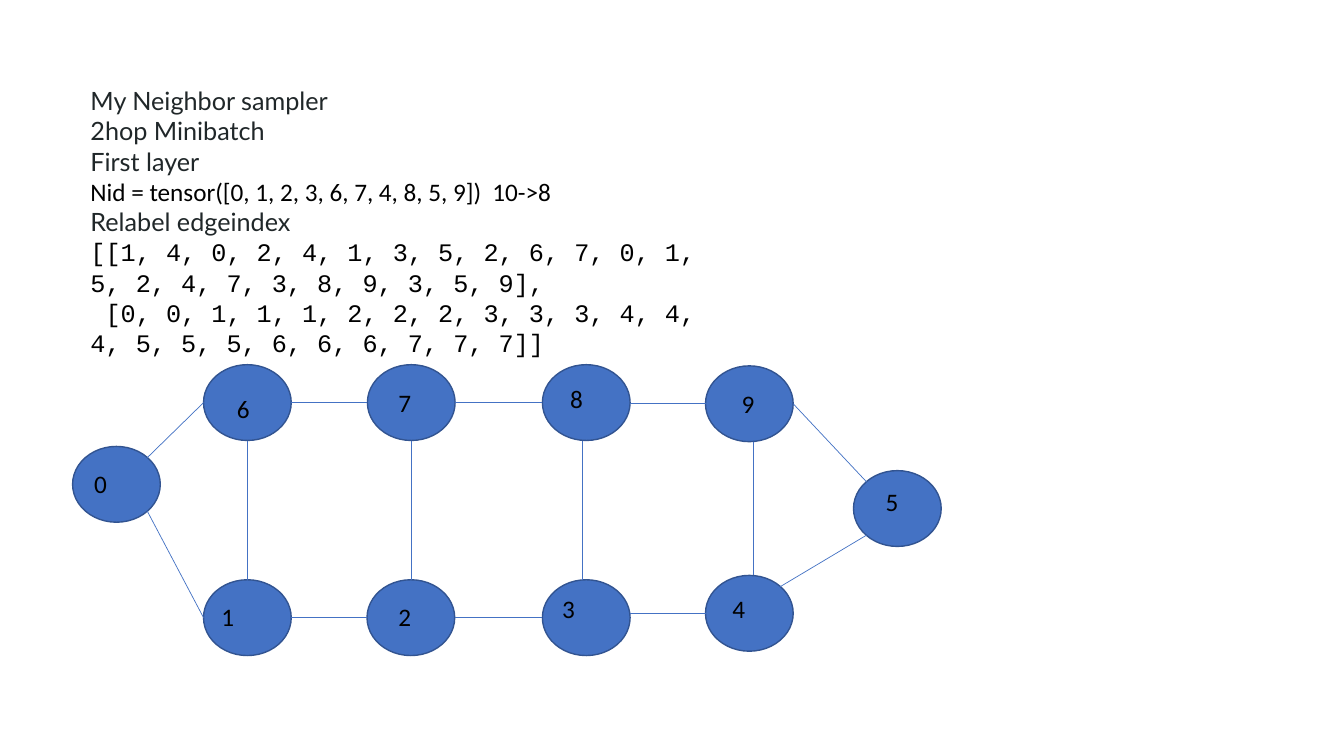
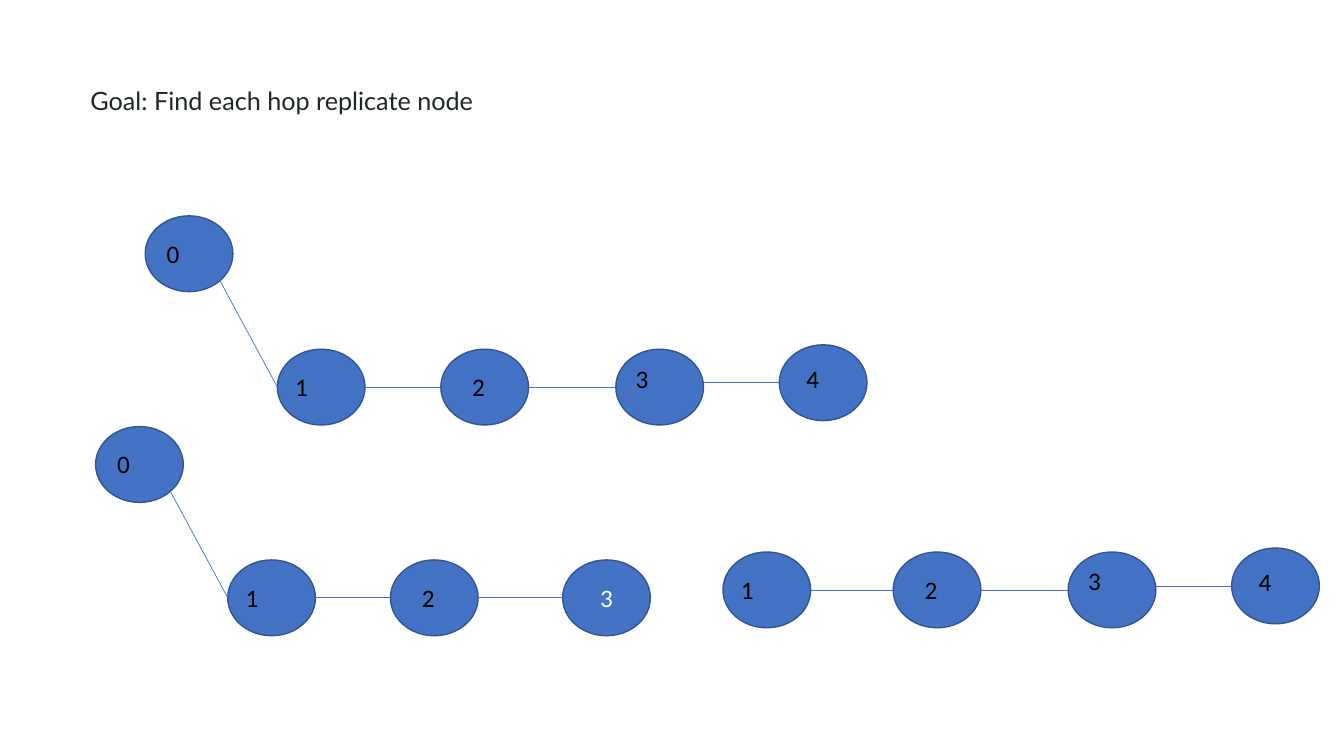
import itertools

import lxml.etree
import pptx
import pptx.dml.color
import pptx.enum.shapes
import pptx.enum.text
import pptx.oxml.ns
import pptx.util

Cm = pptx.util.Cm
Pt = pptx.util.Pt

FILL, OUTLINE, INK, BLACK, WHITE = "4472C4", "325491", "202729", "000000", "FFFFFF"
HEADING, BODY, CODE = ("Lato", INK), ("Calibri", BLACK), ("Courier New", BLACK)
NODE_W, NODE_H = 2.21, 1.91
TEXT_X, TEXT_Y = 2.03, 2.03

LABEL_OFFSETS = {
    "0": (0.29, 0.43), "1": (0.2, 0.43), "2": (0.54, 0.43), "3": (0.25, 0.22),
    "4": (0.43, 0.33), "5": (0.56, 0.26), "6": (0.59, 0.59), "7": (0.53, 0.44),
    "8": (0.45, 0.34), "9": (0.66, 0.43),
}
SITES = {
    "N": (0.5, 0), "S": (0.5, 1), "W": (0, 0.5), "E": (1, 0.5),
    "NW": (0.15, 0.15), "NE": (0.85, 0.15), "SW": (0.15, 0.85), "SE": (0.85, 0.85),
}

SLIDES = [
    {
        "text_size": (16.59, 6.4),
        "text": [
            ("My Neighbor sampler", HEADING),
            ("2hop Minibatch", HEADING),
            ("First layer", HEADING),
            ("Nid = tensor([0, 1, 2, 3, 6, 7, 4, 8, 5, 9])  10->8", BODY),
            ("Relabel edgeindex", HEADING),
            ("[[1, 4, 0, 2, 4, 1, 3, 5, 2, 6, 7, 0, 1, 5, 2, 4, 7, 3, 8, 9, 3, 5, 9],", CODE),
            (" [0, 0, 1, 1, 1, 2, 2, 2, 3, 3, 3, 4, 4, 4, 5, 5, 5, 6, 6, 6, 7, 7, 7]]", CODE),
        ],
        "graphs": [
            {
                "nodes": {
                    "0": (1.83, 11.25), "1": (5.13, 14.61), "2": (9.25, 14.61),
                    "3": (13.67, 14.61), "4": (17.78, 14.5), "5": (21.51, 11.86),
                    "6": (5.13, 9.19), "7": (9.26, 9.19), "8": (13.67, 9.19),
                    "9": (17.78, 9.22),
                },
                "rows": ["6789", "1234"],
                "columns": [("6", "1", 0), ("7", "2", 0), ("8", "3", -0.11), ("9", "4", 0.11)],
                "diagonals": [("0", "NE", "6", "W"), ("0", "SE", "1", "W"),
                              ("9", "E", "5", "NW"), ("5", "SW", "4", "NE")],
            },
        ],
    },
    {
        "text_size": (11.05, 1.02),
        "text": [("Goal: Find each hop replicate node", HEADING)],
        "graphs": [
            {
                "nodes": {"0": (3.66, 5.44), "1": (6.99, 8.8), "2": (11.11, 8.8),
                          "3": (15.52, 8.8), "4": (19.64, 8.69)},
                "rows": ["1234"],
                "diagonals": [("0", "SE", "1", "W")],
            },
            {
                "nodes": {"0": (2.41, 10.75), "1": (5.74, 14.11), "2": (9.84, 14.11),
                          "3": (14.18, 14.11)},
                "rows": ["123"],
                "diagonals": [("0", "SE", "1", "W")],
                "highlight": "3",
            },
            {
                "nodes": {"1": (18.22, 13.91), "2": (22.51, 13.91), "3": (26.92, 13.91),
                          "4": (31.04, 13.81)},
                "rows": ["1234"],
            },
        ],
    },
]


def rgb(color):
    return pptx.dml.color.RGBColor.from_string(color)


def write(p, text, style):
    p.text = text
    p.font.name, p.font.color.rgb = style[0], rgb(style[1])
    p.font.size = Pt(18)


def add_text(s, x, y, w, h, lines, wrap):
    tf = s.shapes.add_textbox(Cm(x), Cm(y), Cm(w), Cm(h)).text_frame
    tf.word_wrap = wrap
    for i, (text, style) in enumerate(lines):
        write(tf.add_paragraph() if i else tf.paragraphs[0], text, style)


def add_node(s, label, x, y, highlighted):
    sp = s.shapes.add_shape(pptx.enum.shapes.MSO_SHAPE.OVAL,
                            Cm(x), Cm(y), Cm(NODE_W), Cm(NODE_H))
    sp.shadow.inherit = False
    sp.fill.solid()
    sp.fill.fore_color.rgb = rgb(FILL)
    sp.line.color.rgb = rgb(OUTLINE)
    sp.line.width = Pt(1)
    if highlighted:
        tf = sp.text_frame
        tf.vertical_anchor = pptx.enum.text.MSO_ANCHOR.MIDDLE
        tf.paragraphs[0].alignment = pptx.enum.text.PP_ALIGN.CENTER
        write(tf.paragraphs[0], label, ("Calibri", WHITE))
    else:
        dx, dy = LABEL_OFFSETS[label]
        add_text(s, x + dx, y + dy, 1.1, 1.02, [(label, BODY)], False)


def add_edge(s, start, end):
    line = s.shapes.add_connector(pptx.enum.shapes.MSO_CONNECTOR.STRAIGHT,
                                  *(Cm(v) for v in start + end))
    line.line.color.rgb = rgb(FILL)
    line.line.width = Pt(0.5)
    lxml.etree.SubElement(line._element.spPr, pptx.oxml.ns.qn("a:effectLst"))


def add_graph(s, graph):
    nodes = graph["nodes"]

    def site(label, side):
        (x, y), (fx, fy) = nodes[label], SITES[side]
        return x + fx * NODE_W, y + fy * NODE_H

    for label, (x, y) in nodes.items():
        add_node(s, label, x, y, label == graph.get("highlight"))
    for row in graph["rows"]:
        for a, b in itertools.pairwise(row):
            end = site(b, "W")
            add_edge(s, (site(a, "E")[0], end[1]), end)
    for a, b, shift in graph.get("columns", []):
        (x, top), (_, bottom) = site(a, "S"), site(b, "N")
        add_edge(s, (x + shift, top), (x + shift, bottom))
    for a, side_a, b, side_b in graph.get("diagonals", []):
        add_edge(s, site(a, side_a), site(b, side_b))


def main():
    prs = pptx.Presentation()
    prs.slide_width, prs.slide_height = Cm(33.87), Cm(19.05)
    for content in SLIDES:
        s = prs.slides.add_slide(prs.slide_layouts[6])
        add_text(s, TEXT_X, TEXT_Y, *content["text_size"], content["text"], True)
        for graph in content["graphs"]:
            add_graph(s, graph)
    prs.save("out.pptx")


if __name__ == "__main__":
    main()
